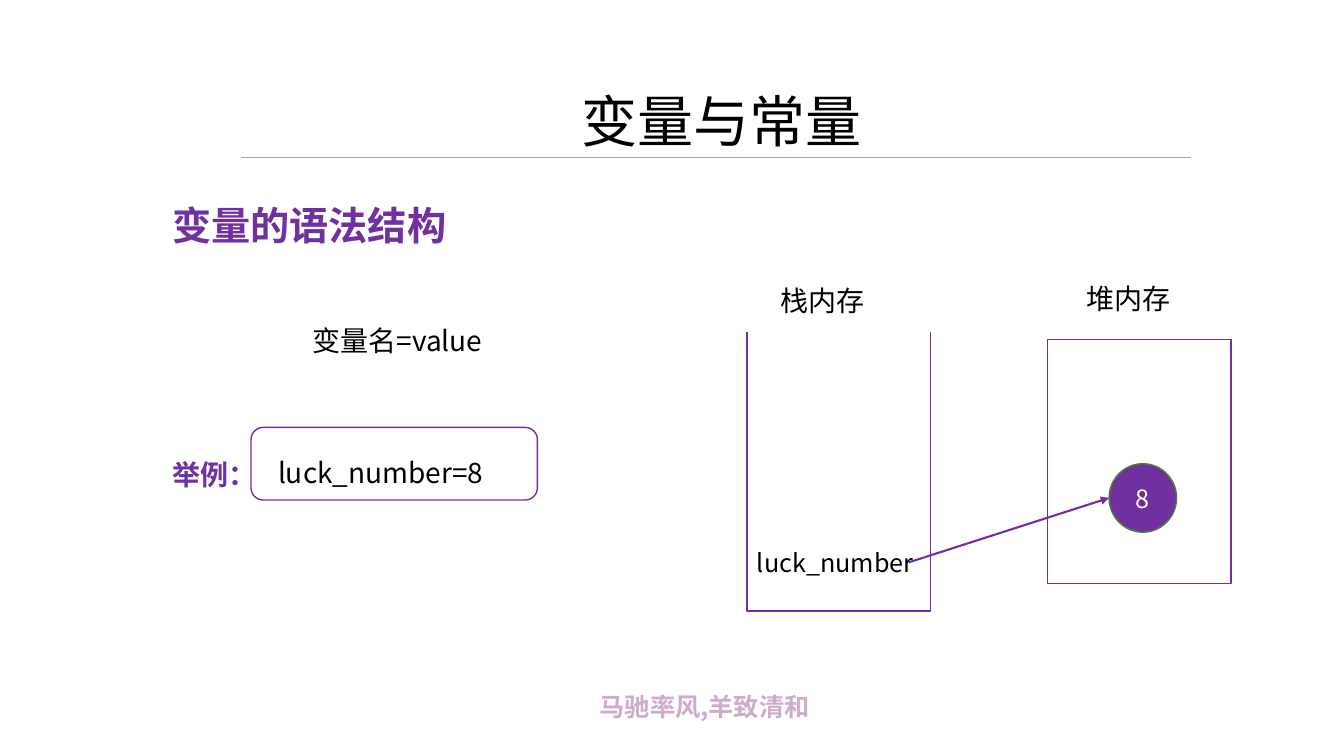
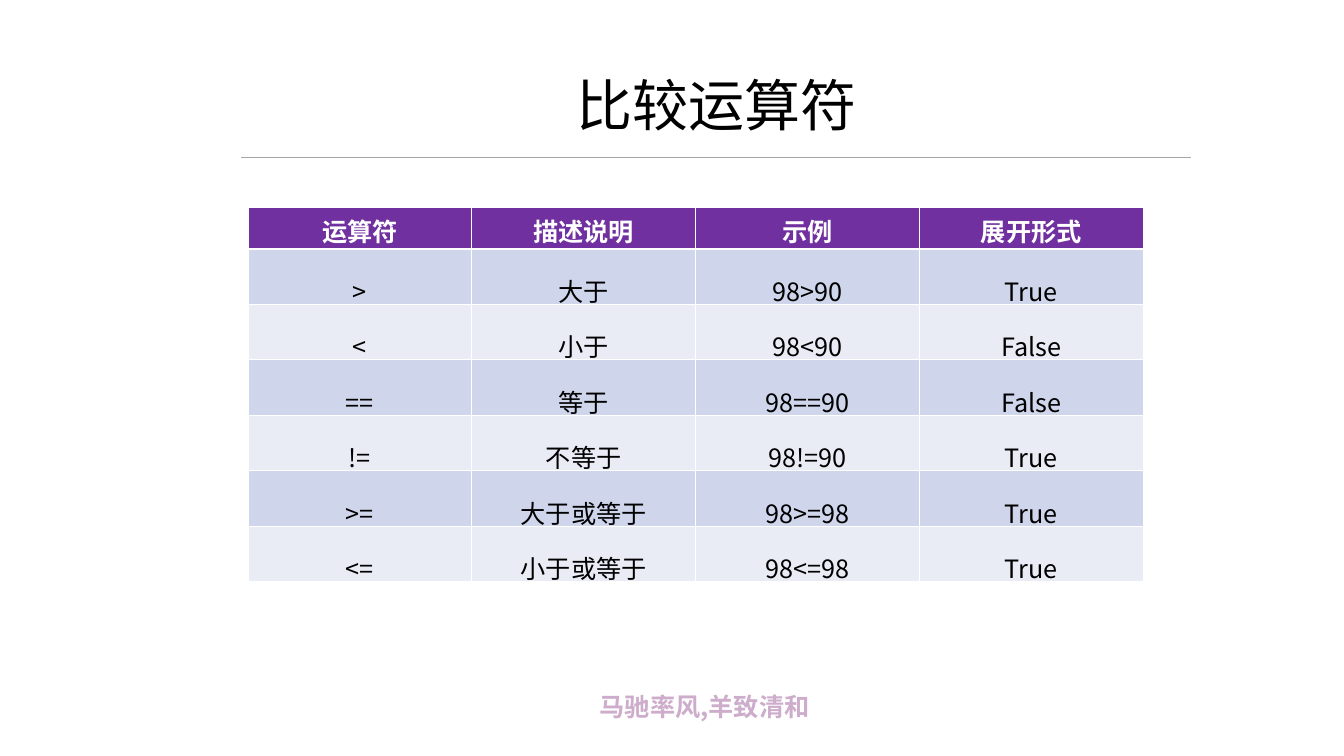
from dataclasses import dataclass

from lxml.etree import SubElement
from pptx import Presentation
from pptx.dml.color import RGBColor
from pptx.enum.shapes import MSO_CONNECTOR, MSO_SHAPE
from pptx.enum.text import MSO_ANCHOR, MSO_AUTO_SIZE, PP_ALIGN
from pptx.oxml.ns import qn
from pptx.util import Inches, Pt


@dataclass(frozen=True)
class Theme:
    font: str = "Noto Sans CJK SC"
    accent: str = "7030A0"
    text: str = "000000"
    white: str = "FFFFFF"
    rule: str = "A5A5A5"
    footer: str = "CDADCB"
    value_outline: str = "538035"
    bands: tuple = ("CFD5EA", "E9EBF5")
    title_size: int = 40
    heading_size: int = 28
    body_size: int = 20
    small_size: int = 18


THEME = Theme()
FOOTER = "马驰率风,羊致清和"
OPERATORS = [
    ("运算符", "描述说明", "示例", "展开形式"),
    (">", "大于", "98>90", "True"),
    ("<", "小于", "98<90", "False"),
    ("==", "等于", "98==90", "False"),
    ("!=", "不等于", "98!=90", "True"),
    (">=", "大于或等于", "98>=98", "True"),
    ("<=", "小于或等于", "98<=98", "True"),
]


def color(value):
    return RGBColor.from_string(value)


def write(text_frame, text, size, text_color, bold=False, spacing=1.0, align=None):
    text_frame.text = text
    paragraph = text_frame.paragraphs[0]
    paragraph.line_spacing = spacing
    paragraph.alignment = align
    run = paragraph.runs[0]
    run.font.name = THEME.font
    run.font.size = Pt(size)
    run.font.bold = bold
    run.font.color.rgb = color(text_color)
    east_asian = SubElement(run.font._element, qn("a:ea"))
    east_asian.set("typeface", THEME.font)


def add_text(slide, box, text, size=THEME.body_size, text_color=THEME.text,
             bold=False, spacing=1.5, wrap=True):
    text_box = slide.shapes.add_textbox(*map(Inches, box))
    text_frame = text_box.text_frame
    text_frame.word_wrap = wrap
    text_frame.auto_size = MSO_AUTO_SIZE.SHAPE_TO_FIT_TEXT
    write(text_frame, text, size, text_color, bold, spacing)


def style_shape(shape, line_color=THEME.accent, fill_color=None):
    shape.shadow.inherit = False
    shape.line.color.rgb = color(line_color)
    shape.line.width = Pt(1)
    if fill_color:
        shape.fill.solid()
        shape.fill.fore_color.rgb = color(fill_color)
    else:
        shape.fill.background()


def add_shape(slide, kind, box, **style):
    shape = slide.shapes.add_shape(kind, *map(Inches, box))
    style_shape(shape, **style)
    return shape


def add_open_box(slide, left, top, width, height):
    """Draw a container without its top edge."""
    right, bottom = left + width, top + height
    corners = [(left, top), (left, bottom), (right, bottom), (right, top)]
    points = [(Inches(x), Inches(y)) for x, y in corners]
    builder = slide.shapes.build_freeform(*points[0])
    builder.add_line_segments(points[1:], close=False)
    style_shape(builder.convert_to_shape())


def add_line(slide, start, end, line_color, width, arrow=False):
    connector = slide.shapes.add_connector(
        MSO_CONNECTOR.STRAIGHT, *map(Inches, (*start, *end)))
    connector.line.color.rgb = color(line_color)
    connector.line.width = Pt(width)
    if arrow:
        SubElement(connector.line._get_or_add_ln(), qn("a:tailEnd")).set("type", "triangle")
    SubElement(connector._element.spPr, qn("a:effectLst"))


def add_slide(presentation, title, title_left, title_top):
    """Add a blank slide with the shared title, rule and footer."""
    slide = presentation.slides.add_slide(presentation.slide_layouts[6])
    add_text(slide, (5.85, 6.81, 2.84, 0.4), FOOTER, THEME.small_size,
             THEME.footer, bold=True, spacing=1.0)
    add_line(slide, (2.39, 1.56), (11.81, 1.56), THEME.rule, 0.5)
    add_text(slide, (title_left, title_top, 3.01, 0.77), title,
             THEME.title_size, spacing=1.0, wrap=False)
    return slide


def add_table(slide, left, top, column_width, header_height, row_height, rows):
    row_count, column_count = len(rows), len(rows[0])
    height = header_height + row_height * (row_count - 1)
    table = slide.shapes.add_table(
        row_count, column_count, Inches(left), Inches(top),
        Inches(column_width * column_count), Inches(height)).table
    for row_index, values in enumerate(rows):
        header = row_index == 0
        table.rows[row_index].height = Inches(header_height if header else row_height)
        fill = THEME.accent if header else THEME.bands[(row_index - 1) % 2]
        for column_index, value in enumerate(values):
            cell = table.cell(row_index, column_index)
            cell.fill.solid()
            cell.fill.fore_color.rgb = color(fill)
            write(cell.text_frame, value, THEME.small_size,
                  THEME.white if header else THEME.text, bold=header,
                  spacing=1.0 if header else 1.5, align=PP_ALIGN.CENTER)


def add_syntax(slide):
    add_text(slide, (1.61, 1.71, 7.45, 0.72), "变量的语法结构",
             THEME.heading_size, THEME.accent, bold=True)
    add_text(slide, (3, 2.99, 2.5, 0.55), "变量名=value")
    add_text(slide, (1.61, 4.32, 0.88, 0.55), "举例：", text_color=THEME.accent, bold=True)
    add_shape(slide, MSO_SHAPE.ROUNDED_RECTANGLE, (2.49, 4.24, 2.84, 0.72))
    add_text(slide, (2.66, 4.3, 2.5, 0.55), "luck_number=8")


def add_memory_diagram(slide):
    add_text(slide, (7.64, 2.6, 1.42, 0.55), "栈内存")
    add_open_box(slide, 7.41, 3.29, 1.82, 2.77)
    add_text(slide, (7.41, 5.38, 1.97, 0.4), "luck_number", THEME.small_size, spacing=1.0)

    add_text(slide, (10.68, 2.58, 1.42, 0.55), "堆内存")
    add_shape(slide, MSO_SHAPE.RECTANGLE, (10.39, 3.37, 1.82, 2.42))
    value = add_shape(slide, MSO_SHAPE.OVAL, (11, 4.6, 0.67, 0.68),
                      line_color=THEME.value_outline, fill_color=THEME.accent)
    value.text_frame.vertical_anchor = MSO_ANCHOR.MIDDLE
    write(value.text_frame, "8", THEME.small_size, THEME.white, align=PP_ALIGN.CENTER)
    add_line(slide, (9.01, 5.58), (11, 4.94), THEME.accent, 1.5, arrow=True)


def main():
    presentation = Presentation()
    presentation.slide_width = Inches(13.33)
    presentation.slide_height = Inches(7.5)

    variables = add_slide(presentation, "变量与常量", 5.67, 0.81)
    add_syntax(variables)
    add_memory_diagram(variables)

    comparison = add_slide(presentation, "比较运算符", 5.62, 0.65)
    add_table(comparison, 2.46, 2.06, 2.22, 0.41, 0.55, OPERATORS)

    presentation.save("out.pptx")


if __name__ == "__main__":
    main()
